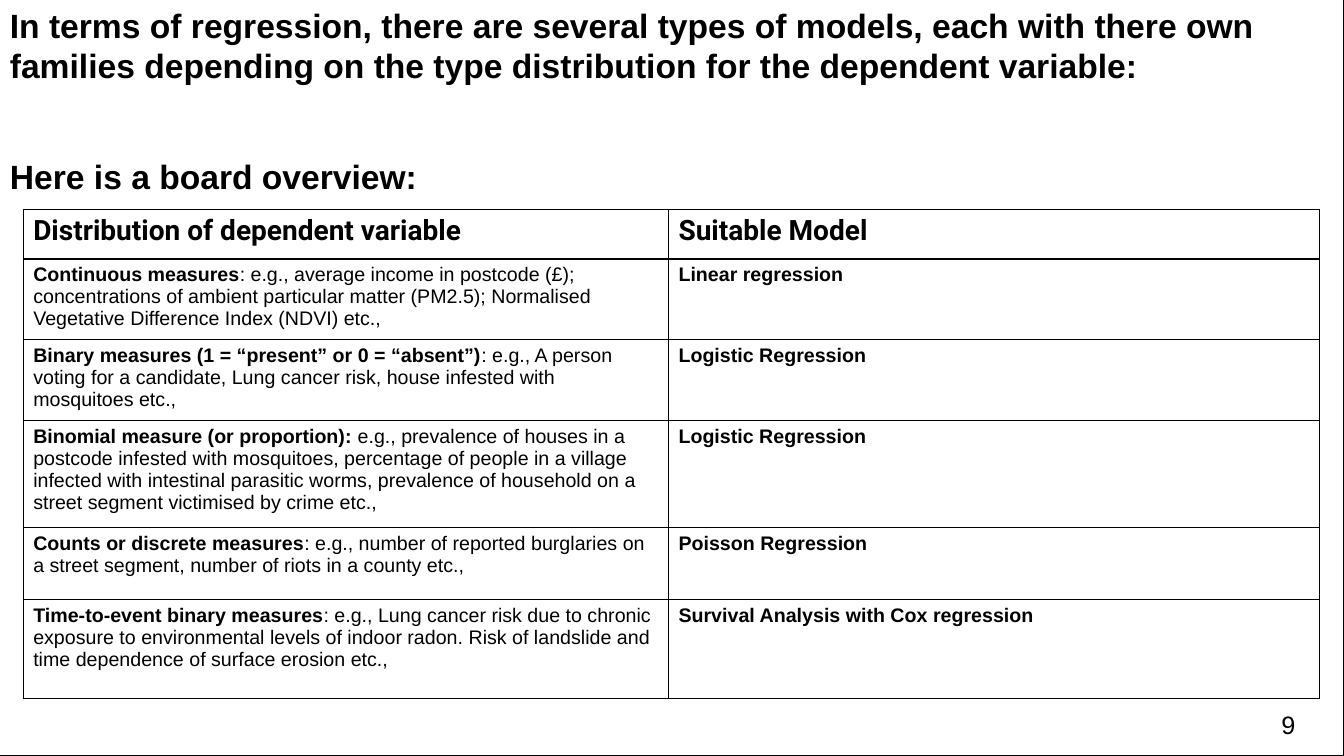
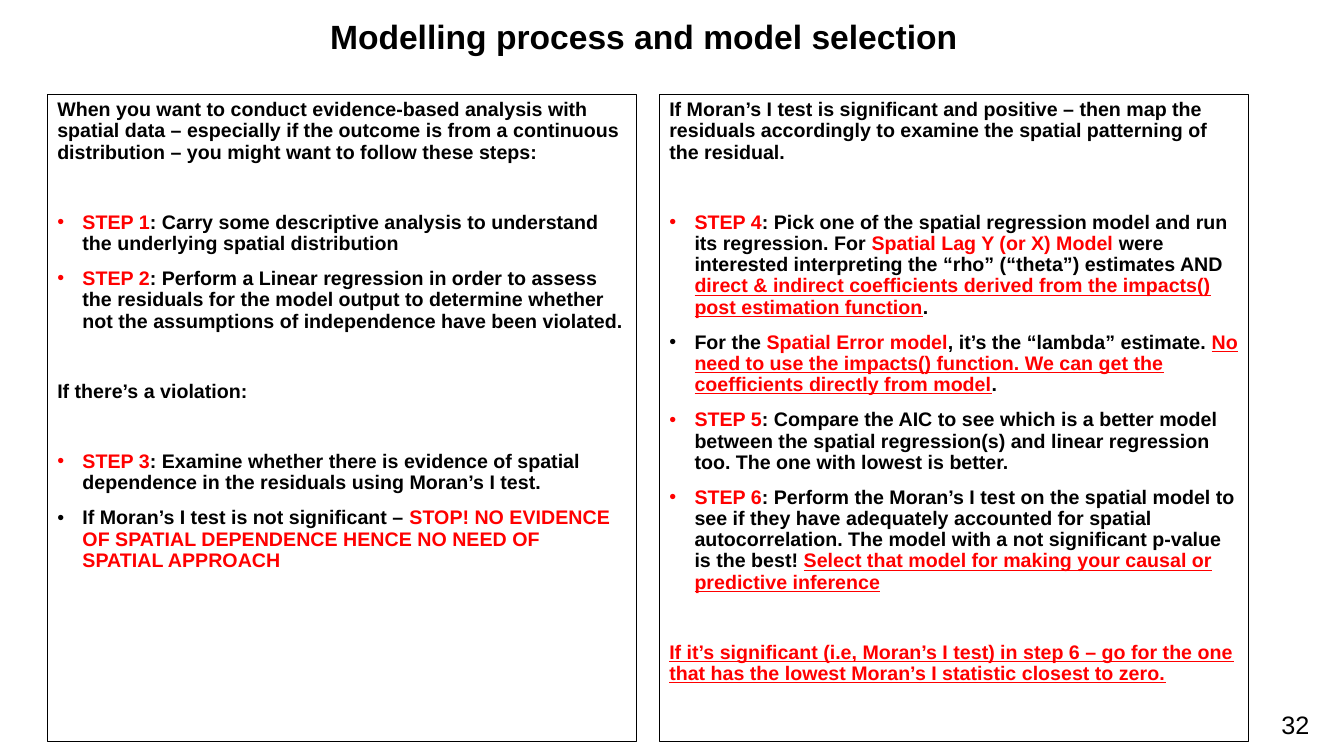
"""Builds two slides on regression models and the spatial modelling process."""
from lxml import etree
from pptx import Presentation
from pptx import util as u
from pptx.dml.color import RGBColor
from pptx.enum import shapes, text
from pptx.oxml.ns import qn

BLACK = RGBColor(0x00, 0x00, 0x00)
RED = RGBColor(0xFF, 0x00, 0x00)
PLAIN = {"bold": False}
BOLD = {"bold": True}
ALERT = {"bold": True, "color": RED}
KEY = {"bold": True, "color": RED, "underline": True}

MODELS = [
    ("Continuous measures",
     ": e.g., average income in postcode (£); concentrations of ambient particular matter (PM2.5); "
     "Normalised Vegetative Difference Index (NDVI) etc.,",
     "Linear regression", 0.8),
    ("Binary measures (1 = “present” or 0 = “absent”)",
     ": e.g., A person voting for a candidate, Lung cancer risk, house infested with mosquitoes etc.,",
     "Logistic Regression", 0.76),
    ("Binomial measure (or proportion): ",
     "e.g., prevalence of houses in a postcode infested with mosquitoes, percentage of people in a "
     "village infected with intestinal parasitic worms, prevalence of household on a street segment "
     "victimised by crime etc.,",
     "Logistic Regression", 1.06),
    ("Counts or discrete measures",
     ": e.g., number of reported burglaries on a street segment, number of riots in a county etc.,",
     "Poisson Regression", 0.72),
    ("Time-to-event binary measures",
     ": e.g., Lung cancer risk due to chronic exposure to environmental levels of indoor radon. "
     "Risk of landslide and time dependence of surface erosion etc.,",
     "Survival Analysis with Cox regression", 0.98),
]

FIRST_STEPS = [
    (False, [("When you want to conduct evidence-based analysis with spatial data – especially if the "
              "outcome is from a continuous distribution – you might want to follow these steps:", BOLD)]),
    (True, [("STEP 1", ALERT),
            (": Carry some descriptive analysis to understand the underlying spatial distribution", BOLD)]),
    (True, [("STEP 2", ALERT),
            (": Perform a Linear regression in order to assess the residuals for the model output to "
             "determine whether not the assumptions of independence have been violated.", BOLD)]),
    (False, [("If there’s a violation:", BOLD)]),
    (True, [("STEP 3", ALERT),
            (": Examine whether there is evidence of spatial dependence in the residuals using "
             "Moran’s I test.", BOLD)]),
    (True, [("If Moran’s I test is not significant – ", BOLD),
            ("STOP! NO EVIDENCE OF SPATIAL DEPENDENCE HENCE NO NEED OF SPATIAL APPROACH", ALERT)]),
]

LATER_STEPS = [
    (False, [("If Moran’s I test is significant and positive – then map the residuals accordingly to "
              "examine the spatial patterning of the residual.", BOLD)]),
    (True, [("STEP 4", ALERT),
            (": Pick one of the spatial regression model and run its regression. For ", BOLD),
            ("Spatial Lag Y (or X) Model ", ALERT),
            ("were interested interpreting the “rho” (“theta”) estimates AND ", BOLD),
            ("direct & indirect coefficients derived from the impacts() post estimation function", KEY),
            (".", BOLD)]),
    (True, [("For the ", BOLD), ("Spatial Error model", ALERT),
            (", it’s the “lambda” estimate. ", BOLD),
            ("No need to use the impacts() function. We can get the coefficients directly from model", KEY),
            (".", BOLD)]),
    (True, [("STEP 5", ALERT),
            (": Compare the AIC to see which is a better model between the spatial regression(s) and "
             "linear regression too. The one with lowest is better.", BOLD)]),
    (True, [("STEP 6", ALERT),
            (": Perform the Moran’s I test on the spatial model to see if they have adequately accounted "
             "for spatial autocorrelation. The model with a not significant p-value is the best! ", BOLD),
            ("Select that model for making your causal or predictive inference", KEY)]),
    (False, [("If it’s significant (i.e, Moran’s I test) in step 6 – go for the one that has the lowest "
              "Moran’s I statistic closest to zero.", KEY)]),
]


class Deck:
    def __init__(self):
        self.presentation = Presentation()
        self.presentation.slide_width = u.Inches(13.33)
        self.presentation.slide_height = u.Inches(7.5)
        self.slide = None

    def new_slide(self, number):
        self.slide = self.presentation.slides.add_slide(self.presentation.slide_layouts[6])
        frame = self.text_box(12.61, 6.99, 0.59, 0.16)
        self.add_spans(frame.paragraphs[0], [(number, PLAIN)], 18)

    def add_spans(self, paragraph, spans, size, font="Arial"):
        for words, style in spans:
            run = paragraph.add_run()
            run.text = words
            run.font.name = font
            run.font.size = u.Pt(size)
            run.font.bold = style["bold"]
            run.font.underline = style.get("underline", False)
            run.font.color.rgb = style.get("color", BLACK)

    def text_box(self, left, top, width, height):
        box = self.slide.shapes.add_textbox(*map(u.Inches, (left, top, width, height)))
        box.text_frame.word_wrap = True
        return box.text_frame

    def title(self, words):
        frame = self.text_box(0.38, 0.15, 12.01, 0.47)
        frame.vertical_anchor = text.MSO_ANCHOR.MIDDLE
        paragraph = frame.paragraphs[0]
        paragraph.alignment = text.PP_ALIGN.CENTER
        paragraph.line_spacing = 0.9
        self.add_spans(paragraph, [(words, BOLD)], 24)

    def panel(self, left, top, width, height, items, size, spacing, gap):
        shape = self.slide.shapes.add_shape(
            shapes.MSO_SHAPE.RECTANGLE, *map(u.Inches, (left, top, width, height)))
        shape.shadow.inherit = False
        shape.fill.background()
        shape.line.color.rgb = BLACK
        shape.line.width = u.Pt(0.75)
        frame = shape.text_frame
        frame.word_wrap = True
        frame.vertical_anchor = text.MSO_ANCHOR.TOP
        was_bulleted = None
        for index, (bulleted, spans) in enumerate(items):
            paragraph = frame.add_paragraph() if index else frame.paragraphs[0]
            if bulleted:
                self.bullet(paragraph)
            paragraph.alignment = text.PP_ALIGN.LEFT
            paragraph.line_spacing = spacing
            if index:
                same_list = bulleted and was_bulleted
                paragraph.space_before = u.Pt(10 if same_list else gap)
            self.add_spans(paragraph, spans, size)
            was_bulleted = bulleted

    def bullet(self, paragraph):
        properties = paragraph._p.get_or_add_pPr()
        properties.set("marL", str(u.Inches(0.25)))
        properties.set("indent", str(-u.Inches(0.25)))
        etree.SubElement(properties, qn("a:buFont"), typeface="Arial")
        etree.SubElement(properties, qn("a:buChar"), char="•")

    def table(self, left, top, columns, heights, rows):
        frame = self.slide.shapes.add_table(
            len(rows), len(columns), u.Inches(left), u.Inches(top),
            u.Inches(sum(columns)), u.Inches(sum(heights)))
        table = frame.table
        table.first_row = table.horz_banding = False
        for column, width in zip(table.columns, columns):
            column.width = u.Inches(width)
        for row, height, contents in zip(table.rows, heights, rows):
            row.height = u.Inches(height)
            header = contents is rows[0]
            size, font = (20, "Roboto") if header else (14, "Arial")
            for cell, spans in zip(row.cells, contents):
                self.border(cell)
                cell.fill.background()
                self.add_spans(cell.text_frame.paragraphs[0], spans, size, font)

    def border(self, cell):
        properties = cell._tc.get_or_add_tcPr()
        for side in ("a:lnL", "a:lnR", "a:lnT", "a:lnB"):
            line = etree.SubElement(properties, qn(side), w=str(u.Pt(1)))
            fill = etree.SubElement(line, qn("a:solidFill"))
            etree.SubElement(fill, qn("a:srgbClr"), val=str(BLACK))


def main():
    deck = Deck()

    deck.new_slide("9")
    introduction = [
        (False, [("In terms of regression, there are several types of models, each with there own "
                  "families depending on the type distribution for the dependent variable:", BOLD)]),
        (False, [("Here is a board overview:", BOLD)]),
    ]
    deck.panel(0, 0, 13.33, 7.5, introduction, size=24, spacing=1.0, gap=50)
    rows = [[[("Distribution of dependent variable", BOLD)], [("Suitable Model", BOLD)]]]
    rows += [[[(measure, BOLD), (examples, PLAIN)], [(model, BOLD)]]
             for measure, examples, model, _ in MODELS]
    heights = [0.49] + [height for *_, height in MODELS]
    deck.table(0.23, 2.08, [6.4, 6.46], heights, rows)

    deck.new_slide("32")
    deck.title("Modelling process and model selection")
    for index, steps in enumerate((FIRST_STEPS, LATER_STEPS)):
        deck.panel(0.47 + index * 6.07, 0.94, 5.84, 6.42, steps, size=14, spacing=0.9, gap=35)

    deck.presentation.save("out.pptx")


if __name__ == "__main__":
    main()
